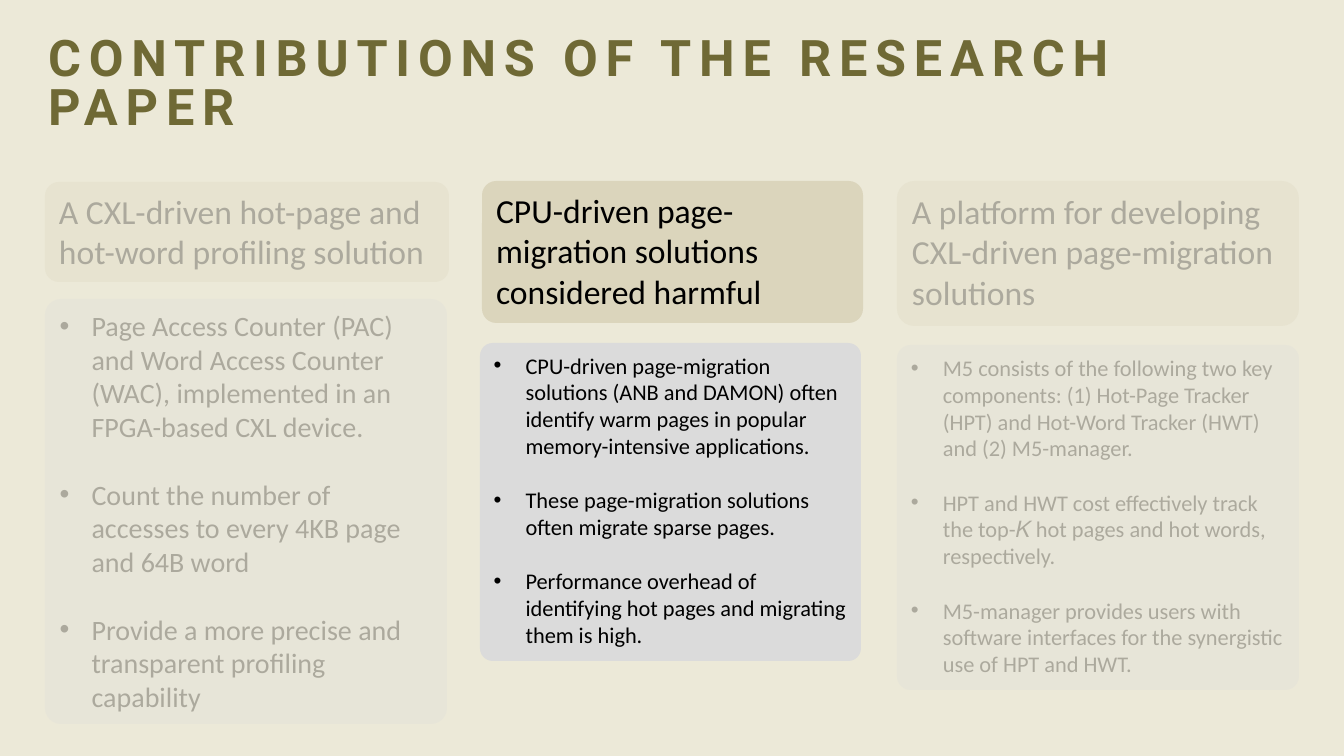
from lxml import etree
from pptx import Presentation
from pptx.dml.color import RGBColor
from pptx.enum.shapes import MSO_SHAPE
from pptx.enum.text import MSO_ANCHOR, MSO_AUTO_SIZE, PP_ALIGN
from pptx.oxml.ns import qn
from pptx.util import Emu, Pt

EMU_PER_PX = 914400 / 100.8
SLIDE_W, SLIDE_H = 1344, 756

RECT = MSO_SHAPE.RECTANGLE
ROUNDED = MSO_SHAPE.ROUNDED_RECTANGLE
TOP = MSO_ANCHOR.TOP
LEFT = PP_ALIGN.LEFT
NO_AUTOSIZE = MSO_AUTO_SIZE.NONE

CREAM = RGBColor(0xEC, 0xE9, 0xD8)
OLIVE = RGBColor(0x6F, 0x69, 0x35)
SAND = RGBColor(0xDB, 0xD5, 0xBC)
GREY = RGBColor(0xDB, 0xDB, 0xDB)
BLACK = RGBColor(0x00, 0x00, 0x00)

HEADING_SIZE = 24
BULLET_INDENT = 32
VEIL_ALPHA = 73

COLUMNS = [
    {
        "heading": "A CXL-driven hot-page and hot-word profiling solution",
        "heading_box": (45, 182, 404, 100),
        "heading_adj": 0.14,
        "list_box": (45, 299, 402, 425),
        "list_adj": 0.04,
        "size": 20,
        "points": [
            "Page Access Counter (PAC) and Word Access Counter (WAC), "
            "implemented in an FPGA-based CXL device.",
            "Count the number of accesses to every 4KB page and 64B word",
            "Provide a more precise and transparent profiling capability",
        ],
    },
    {
        "heading": "CPU-driven page-migration solutions considered harmful",
        "heading_box": (482, 181, 381, 142),
        "heading_adj": 0.1,
        "list_box": (480, 343, 381, 318),
        "list_adj": 0.04,
        "size": 16,
        "points": [
            "CPU-driven page-migration solutions (ANB and DAMON) often identify "
            "warm pages in popular memory-intensive applications.",
            "These page-migration solutions often migrate sparse pages.",
            "Performance overhead of identifying hot pages and migrating them is high.",
        ],
    },
    {
        "heading": "A platform for developing CXL-driven page-migration solutions",
        "heading_box": (897, 181, 402, 145),
        "heading_adj": 0.12,
        "list_box": (897, 345, 402, 345),
        "list_adj": 0.04,
        "size": 16,
        "points": [
            "M5 consists of the following two key components: (1) Hot-Page Tracker "
            "(HPT) and Hot-Word Tracker (HWT) and (2) M5-manager.",
            "HPT and HWT cost effectively track the top-𝐾 hot pages and hot words, "
            "respectively.",
            "M5-manager provides users with software interfaces for the synergistic "
            "use of HPT and HWT.",
        ],
    },
]

VEILS = [(880, 165, 464, 591), (0, 150, 465, 606)]


def px(n):
    return Emu(round(n * EMU_PER_PX))


def add_run(p, text, font, size, color, bold=False):
    r = p.add_run()
    r.text = text
    r.font.name = font
    r.font.size = Pt(size)
    r.font.bold = bold
    r.font.color.rgb = color
    return r


def add_box(slide, kind, box, color):
    sp = slide.shapes.add_shape(kind, *map(px, box))
    sp.shadow.inherit = False
    sp.fill.solid()
    sp.fill.fore_color.rgb = color
    sp.line.fill.background()
    return sp


def add_card(slide, box, adj, color):
    sp = add_box(slide, ROUNDED, box, color)
    sp.adjustments[0] = adj
    sp.text_frame.word_wrap = True
    sp.text_frame.vertical_anchor = TOP
    return sp


def set_title(slide, text):
    title = slide.shapes.title
    title.left, title.top, title.width, title.height = map(px, (48, 38, 1141, 157))
    tf = title.text_frame
    tf.auto_size = NO_AUTOSIZE
    tf.word_wrap = True
    tf.vertical_anchor = TOP
    tf.margin_left = tf.margin_top = tf.margin_right = tf.margin_bottom = 0
    p = tf.paragraphs[0]
    p.alignment = LEFT
    p.line_spacing = Pt(34.7)
    r = add_run(p, text, "Roboto", 36, OLIVE, bold=True)
    r.font._element.set("spc", "560")


def add_heading(slide, text, box, adj):
    p = add_card(slide, box, adj, SAND).text_frame.paragraphs[0]
    p.alignment = LEFT
    add_run(p, text, "Calibri", HEADING_SIZE, BLACK)


def set_bullet(p):
    pPr = p._p.get_or_add_pPr()
    pPr.set("marL", str(px(BULLET_INDENT)))
    pPr.set("indent", str(-px(BULLET_INDENT)))
    etree.SubElement(pPr, qn("a:buFont")).set("typeface", "Arial")
    etree.SubElement(pPr, qn("a:buChar")).set("char", "•")


def add_list(slide, points, box, adj, size):
    tf = add_card(slide, box, adj, GREY).text_frame
    for i, point in enumerate(points):
        p = tf.add_paragraph() if i else tf.paragraphs[0]
        set_bullet(p)
        p.alignment = LEFT
        if i:
            p.space_before = Pt(round(size * 1.22, 1))
        add_run(p, point, "Calibri", size, BLACK)


def add_veil(slide, box):
    sp = add_box(slide, RECT, box, CREAM)
    clr = sp.fill._xPr.find(qn("a:solidFill")).find(qn("a:srgbClr"))
    etree.SubElement(clr, qn("a:alpha")).set("val", str(VEIL_ALPHA * 1000))


def main():
    prs = Presentation()
    prs.slide_width, prs.slide_height = px(SLIDE_W), px(SLIDE_H)
    slide = prs.slides.add_slide(prs.slide_layouts[5])
    slide.background.fill.solid()
    slide.background.fill.fore_color.rgb = CREAM

    set_title(slide, "CONTRIBUTIONS OF THE RESEARCH PAPER")
    for col in COLUMNS:
        add_heading(slide, col["heading"], col["heading_box"], col["heading_adj"])
        add_list(slide, col["points"], col["list_box"], col["list_adj"], col["size"])
    for box in VEILS:
        add_veil(slide, box)

    prs.save("out.pptx")


if __name__ == "__main__":
    main()
